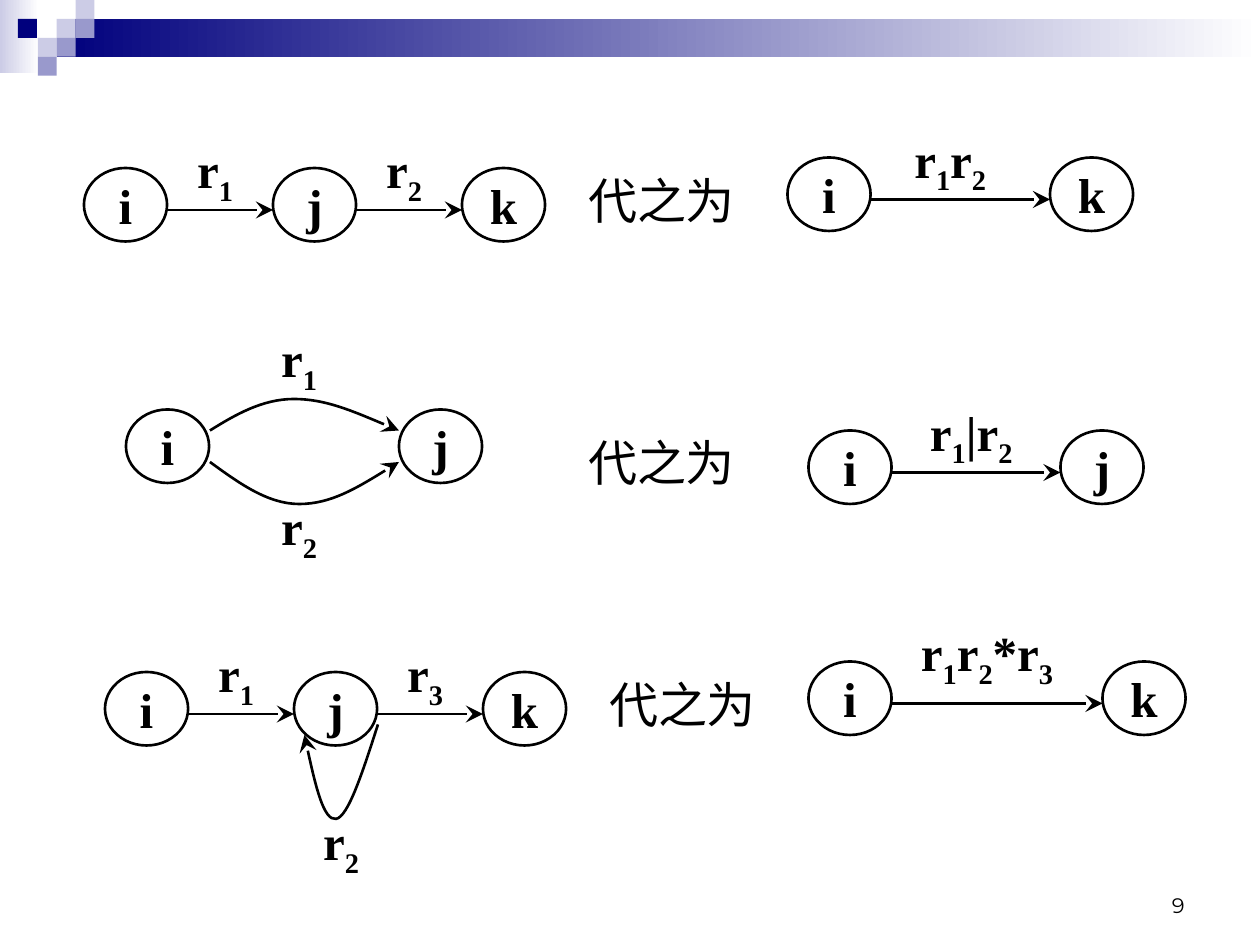
from itertools import groupby, pairwise

from lxml.etree import SubElement
from pptx import Presentation
from pptx.dml.color import RGBColor
from pptx.enum.shapes import MSO_CONNECTOR, MSO_SHAPE
from pptx.enum.text import MSO_ANCHOR as Anchor, PP_ALIGN as Align
from pptx.oxml.ns import qn
from pptx.util import Pt

BLACK = RGBColor(0, 0, 0)
WHITE = RGBColor(0xFF, 0xFF, 0xFF)
NAVY = RGBColor(0x00, 0x00, 0x7D)
LILAC = RGBColor(0xCC, 0xCC, 0xE6)
VIOLET = RGBColor(0x99, 0x99, 0xCC)

SERIF = "Times New Roman"
SANS = "Montserrat"
NODE_W, NODE_H = 47.5, 42
NODE_STEP = 48
ARROW_DROP = 24
LABEL_W, LABEL_H = 66, 42
TILE = 10.8


def write(shape, text, size=28, font=SERIF, bold=True, align=Align.CENTER,
          anchor=Anchor.MIDDLE):
    """Write text into a shape, lowering digits to subscripts when bold."""
    frame = shape.text_frame
    frame.word_wrap = False
    frame.vertical_anchor = anchor
    if align == Align.CENTER:
        frame.margin_left = frame.margin_right = 0
    paragraph = frame.paragraphs[0]
    paragraph.alignment = align
    for is_index, letters in groupby(text, str.isdigit):
        run = paragraph.add_run()
        run.text = "".join(letters)
        run.font.size = Pt(size)
        run.font.name = font
        run.font.bold = bold
        run.font.color.rgb = BLACK
        if is_index and bold:
            run.font._element.set("baseline", "-25000")


def add_label(slide, x, y, text, width=LABEL_W, height=LABEL_H, **style):
    """Add a text box."""
    label = slide.shapes.add_textbox(Pt(x), Pt(y), Pt(width), Pt(height))
    write(label, text, **style)


def add_rect(slide, x, y, width, height, color, fade=False):
    """Add a plain rectangle, or one that fades to white on the right."""
    rect = slide.shapes.add_shape(MSO_SHAPE.RECTANGLE, Pt(x), Pt(y),
                                  Pt(width), Pt(height))
    rect.shadow.inherit = False
    rect.line.fill.background()
    if not fade:
        rect.fill.solid()
        rect.fill.fore_color.rgb = color
        return
    rect.fill.gradient()
    rect.fill.gradient_angle = 0
    for stop, position, tone in zip(rect.fill.gradient_stops, (0, 1), (color, WHITE)):
        stop.position = position
        stop.color.rgb = tone


def add_node(slide, x, y, name):
    """Add a state circle with its name."""
    node = slide.shapes.add_shape(MSO_SHAPE.OVAL, Pt(x), Pt(y), Pt(NODE_W), Pt(NODE_H))
    node.shadow.inherit = False
    node.fill.background()
    node.line.color.rgb = BLACK
    node.line.width = Pt(1.5)
    write(node, name)


def style_arrow(arrow):
    """Give a line its black stroke and large stealth arrowhead."""
    arrow.line.color.rgb = BLACK
    arrow.line.width = Pt(1.5)
    SubElement(arrow.line._get_or_add_ln(), qn("a:tailEnd"),
               type="stealth", w="lg", len="lg")


def add_arrow(slide, start, end, y):
    """Add a straight horizontal arrow."""
    arrow = slide.shapes.add_connector(MSO_CONNECTOR.STRAIGHT, Pt(start), Pt(y),
                                       Pt(end), Pt(y))
    style_arrow(arrow)
    SubElement(arrow._element.spPr, qn("a:effectLst"))


def add_curve(slide, start, *points):
    """Add a curved arrow; each three points make one Bezier segment."""
    builder = slide.shapes.build_freeform(Pt(start[0]), Pt(start[1]))
    builder.add_line_segments([(Pt(x), Pt(y)) for x, y in points], close=False)
    curve = builder.convert_to_shape()
    curve.shadow.inherit = False
    curve.fill.background()
    style_arrow(curve)
    outline = next(curve._element.iter(qn("a:pathLst")))[0]
    segments = outline.findall(qn("a:lnTo"))
    for first in range(0, len(segments), 3):
        bezier = SubElement(outline, qn("a:cubicBezTo"))
        for segment in segments[first:first + 3]:
            bezier.append(segment[0])
            outline.remove(segment)


def add_chain(slide, y, nodes, labels, shift=-6, rise=18, label_width=LABEL_W):
    """Add a row of states, joined by labelled arrows."""
    for x, name in nodes:
        add_node(slide, x, y, name)
    for ((left, _), (right, _)), text in zip(pairwise(nodes), labels):
        start = left + NODE_STEP
        add_arrow(slide, start, right, y + ARROW_DROP)
        add_label(slide, start + shift, y - rise, text, label_width)


def add_banner(slide):
    """Add the fading bar and the tiles in the top left corner."""
    add_rect(slide, 0, 0, 22.3, 41.8, LILAC, fade=True)
    add_rect(slide, 32.4, TILE, 687.6, 21.6, NAVY, fade=True)
    tiles = [(3, 1, LILAC), (4, 0, LILAC), (4, 1, VIOLET), (2, 2, LILAC),
             (0.95, 1, NAVY), (3, 2, VIOLET), (2, 3, VIOLET)]
    for column, row, color in tiles:
        add_rect(slide, column * TILE, row * TILE, TILE, TILE, color)


def main():
    """Build the slide and save it."""
    deck = Presentation()
    deck.slide_width, deck.slide_height = Pt(720), Pt(540)
    slide = deck.slides.add_slide(deck.slide_layouts[6])
    add_banner(slide)
    add_label(slide, 516, 492, "9", 168, 36, size=12, font=SANS, bold=False,
              align=Align.RIGHT, anchor=Anchor.BOTTOM)
    for x, y in ((330, 90), (330, 240), (342, 378)):
        add_label(slide, x, y, "代之为", 96, 48, bold=False)

    # Concatenation
    add_chain(slide, 96, [(48, "i"), (156, "j"), (264, "k")], ["r1", "r2"])
    add_chain(slide, 90, [(450, "i"), (600, "k")], ["r1r2"], shift=12)

    # Alternation
    add_chain(slide, 234, [(72, "i"), (228, "j")], [])
    add_curve(slide, (120, 246), (134.5, 237), (150, 228), (168, 228),
              (186, 228), (206.5, 237), (228, 246))
    add_curve(slide, (120, 264), (136.5, 276), (153, 288), (171, 288),
              (189, 288), (209, 276), (228, 264))
    add_label(slide, 138, 282, "r2")
    add_label(slide, 138, 186, "r1")
    add_chain(slide, 246, [(462, "i"), (606, "j")], ["r1|r2"], shift=12)

    # Closure
    add_chain(slide, 384, [(60, "i"), (168, "j"), (276, "k")], ["r1", "r3"])
    add_curve(slide, (216, 414), (207.5, 440.5), (199, 467), (192, 468),
              (185, 469), (179, 444), (174, 420))
    add_label(slide, 162, 462, "r2")
    add_chain(slide, 378, [(462, "i"), (630, "k")], ["r1r2*r3"], shift=12,
              rise=24, label_width=84)
    deck.save("out.pptx")


if __name__ == "__main__":
    main()
